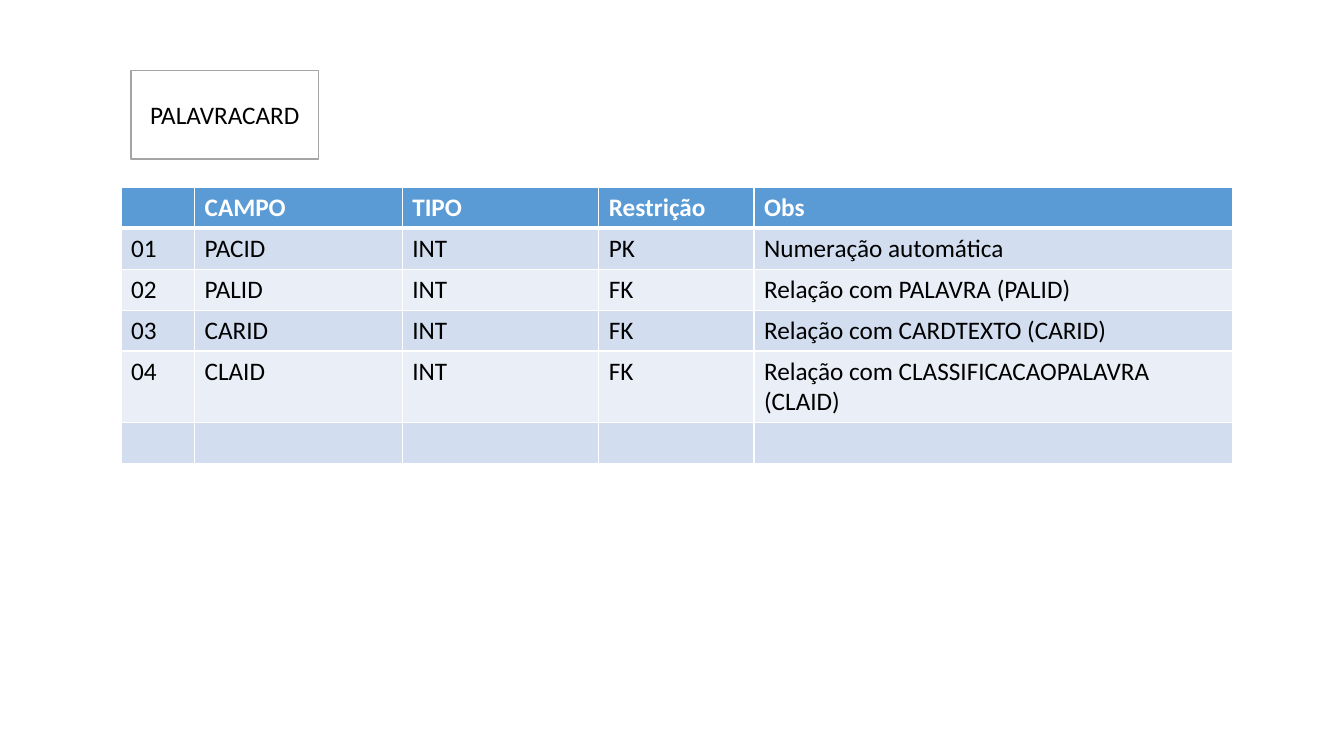
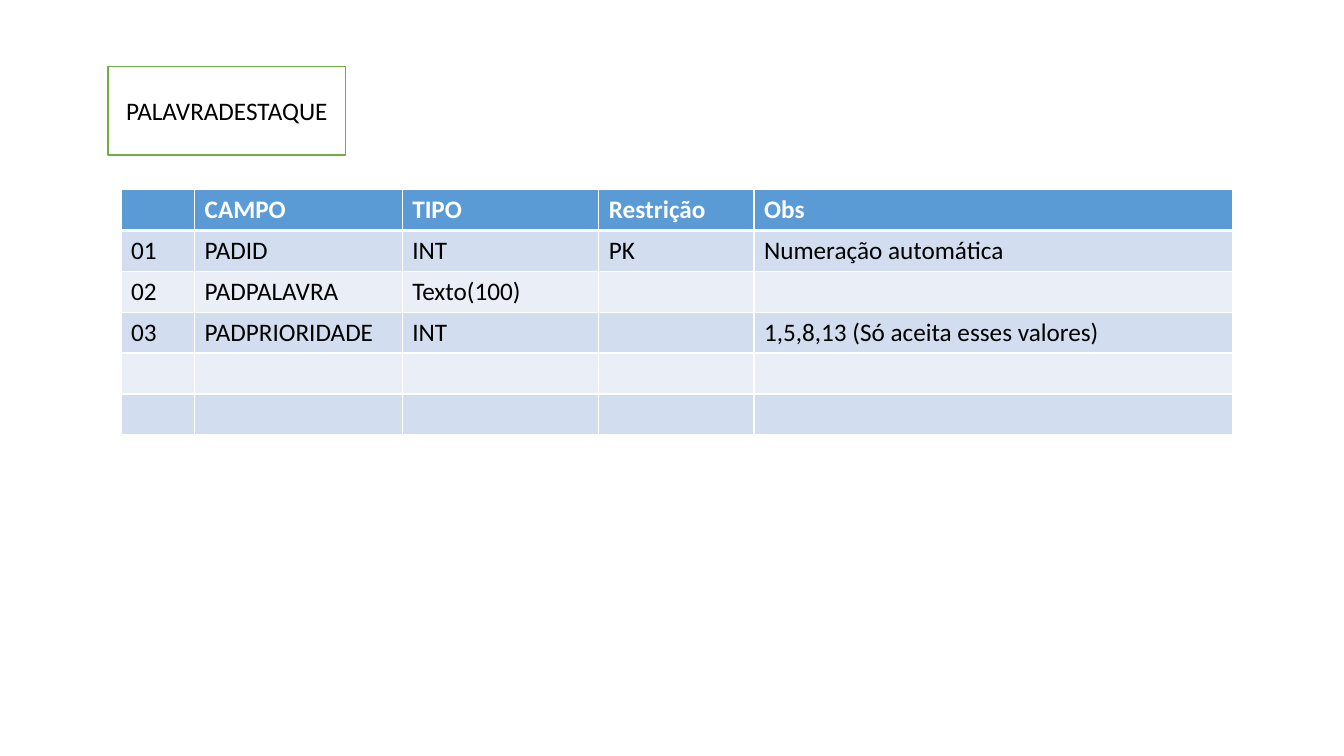
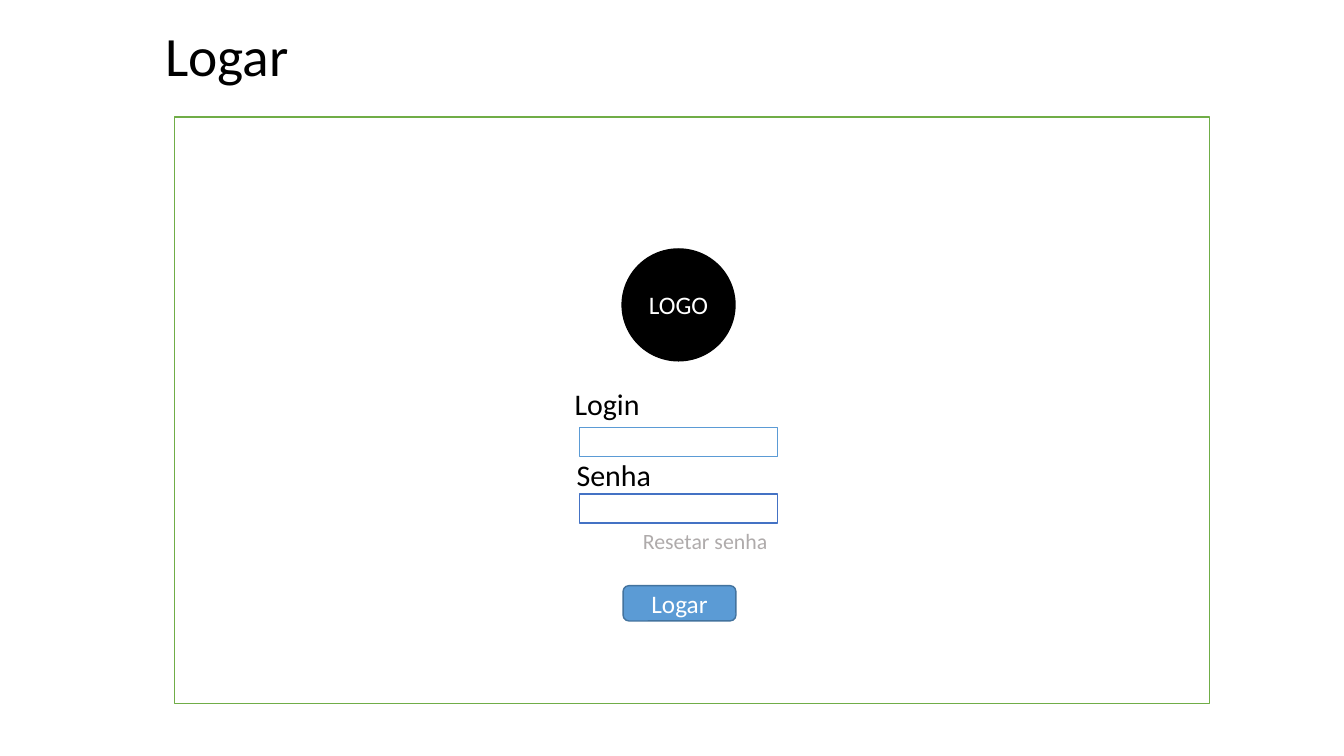
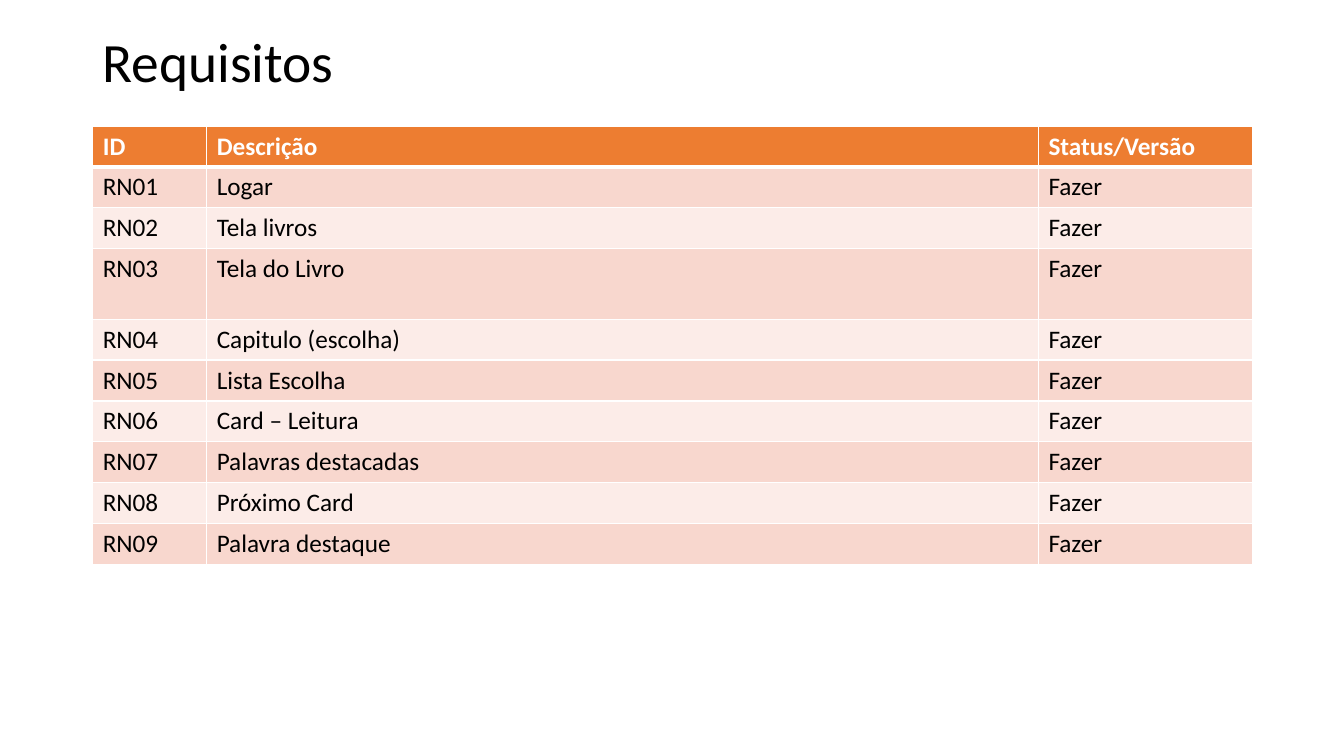
"""Build four slides: two data tables, a login screen and a list of requirements."""
from dataclasses import dataclass
from typing import NamedTuple

from lxml.etree import SubElement as Sub
from pptx import Presentation as Deck
from pptx.dml.color import RGBColor as Rgb
from pptx.enum.shapes import MSO_SHAPE as Kind
from pptx.enum.text import MSO_ANCHOR as Anchor, PP_ALIGN as Align
from pptx.oxml.ns import qn
from pptx.slide import Slide
from pptx.table import _Cell as Cell
from pptx.text.text import TextFrame as Frame
from pptx.util import Inches, Length, Pt


class Tint(NamedTuple):
    head: str
    odd: str
    even: str


@dataclass(frozen=True)
class Theme:
    font: str = "Calibri"
    title: float = 39.6
    label: float = 21.4
    body: float = 18
    hint: float = 15.6
    white: str = "FFFFFF"
    black: str = "000000"
    gray: str = "A5A5A5"
    mute: str = "AFABAB"
    green: str = "70AD47"
    sky: str = "5B9BD5"
    blue: str = "4472C4"
    navy: str = "43739E"
    cool: Tint = Tint("5B9BD5", "D2DEEF", "EAEFF7")
    warm: Tint = Tint("ED7D31", "F8D7CE", "FCECE8")


class Area(NamedTuple):
    """Left, top, width and height as percent of the slide."""
    left: float
    top: float
    wide: float
    high: float


@dataclass(frozen=True)
class Box:
    area: Area
    line: str
    fill: str = "FFFFFF"
    text: str = ""
    ink: str = "000000"
    kind: Kind = Kind.RECTANGLE


@dataclass(frozen=True)
class Label:
    area: Area
    text: str
    size: float
    ink: str = "000000"
    align: Align = Align.LEFT


@dataclass(frozen=True)
class Grid:
    left: float
    top: float
    cols: tuple[float, ...]
    rows: list[tuple[str, ...]]
    tint: Tint
    tall: int = -1


THEME = Theme()
WIDE, HIGH = Inches(13.33), Inches(7.5)
ROW, TALL = 5.41, 9.33
BAR = 6.53
FIELDS = (5.48, 15.45, 14.63, 11.55, 35.63)
NAMES = ("", "CAMPO", "TIPO", "Restrição", "Obs")
BLANK = ("",) * len(FIELDS)
NEEDS = ("Logar", "Tela livros", "Tela do Livro", "Capitulo (escolha)", "Lista Escolha",
         "Card – Leitura", "Palavras destacadas", "Próximo Card", "Palavra destaque")


def across(share: float) -> Length:
    """Turn percent of the width into a length."""
    return Length(round(WIDE * share / 100))


def down(share: float) -> Length:
    """Turn percent of the height into a length."""
    return Length(round(HIGH * share / 100))


def place(area: Area) -> tuple[Length, Length, Length, Length]:
    """Turn an area into lengths."""
    return across(area.left), down(area.top), across(area.wide), down(area.high)


def write(frame: Frame, text: str, *, size: float = THEME.body, ink: str = THEME.black,
          bold: bool = False, align: Align = Align.LEFT, space: float = 1) -> None:
    """Put one formatted paragraph in a frame."""
    para = frame.paragraphs[0]
    para.alignment, para.line_spacing = align, space
    para.font.size = Pt(size)
    if text:
        run = para.add_run()
        run.text = text
        font = run.font
        font.name, font.size, font.bold = THEME.font, Pt(size), bold
        font.color.rgb = Rgb.from_string(ink)


def draw_box(slide: Slide, box: Box) -> None:
    """Draw an outlined shape with centred text."""
    shape = slide.shapes.add_shape(box.kind, *place(box.area))
    shape.shadow.inherit = False
    shape.fill.solid()
    shape.fill.fore_color.rgb = Rgb.from_string(box.fill)
    shape.line.color.rgb = Rgb.from_string(box.line)
    shape.line.width = Pt(1)
    shape.text_frame.vertical_anchor = Anchor.MIDDLE
    write(shape.text_frame, box.text, ink=box.ink, align=Align.CENTER)


def draw_label(slide: Slide, label: Label) -> None:
    """Draw free text centred on its height."""
    frame = slide.shapes.add_textbox(*place(label.area)).text_frame
    frame.word_wrap, frame.vertical_anchor = True, Anchor.MIDDLE
    write(frame, label.text, size=label.size, ink=label.ink, align=label.align, space=0.9)


def draw_title(slide: Slide, text: str, left: float, top: float) -> None:
    """Draw a slide title."""
    draw_label(slide, Label(Area(left, top, 86.27, BAR), text, THEME.title))


def edge(cell: Cell, top: float, base: float) -> None:
    """Give a cell white borders."""
    props = cell._tc.get_or_add_tcPr()
    for side, width in (("L", 1), ("R", 1), ("T", top), ("B", base)):
        line = Sub(props, qn(f"a:ln{side}"), w=str(Pt(width)))
        Sub(Sub(line, qn("a:solidFill")), qn("a:srgbClr"), val=THEME.white)


def draw_grid(slide: Slide, grid: Grid) -> None:
    """Draw a banded table below a header row."""
    highs = [TALL if row == grid.tall else ROW for row in range(len(grid.rows))]
    area = Area(grid.left, grid.top, sum(grid.cols), sum(highs))
    table = slide.shapes.add_table(len(highs), len(grid.cols), *place(area)).table
    for col, wide in zip(table.columns, grid.cols):
        col.width = across(wide)
    for row, (texts, high) in enumerate(zip(grid.rows, highs)):
        table.rows[row].height = down(high)
        head = row == 0
        fill = grid.tint.head if head else grid.tint.odd if row % 2 else grid.tint.even
        for cell, text in zip(table.rows[row].cells, texts):
            edge(cell, 3 if row == 1 else 1, 3 if head else 1)
            cell.fill.solid()
            cell.fill.fore_color.rgb = Rgb.from_string(fill)
            write(cell.text_frame, text, ink=THEME.white if head else THEME.black, bold=head)


def draw_data(slide: Slide, top: float, rows: list[tuple[str, ...]], box: Box,
              tall: int = -1) -> None:
    """Draw the fields of a data table and its name box."""
    draw_grid(slide, Grid(9, top, FIELDS, [NAMES, *rows], THEME.cool, tall))
    draw_box(slide, box)


def draw_card(slide: Slide) -> None:
    """Draw the word and card table."""
    rows = [("01", "PACID", "INT", "PK", "Numeração automática"),
            ("02", "PALID", "INT", "FK", "Relação com PALAVRA (PALID)"),
            ("03", "CARID", "INT", "FK", "Relação com CARDTEXTO (CARID)"),
            ("04", "CLAID", "INT", "FK", "Relação com CLASSIFICACAOPALAVRA (CLAID)"),
            BLANK]
    box = Box(Area(9.75, 9.33, 13.95, 11.73), THEME.gray, text="PALAVRACARD")
    draw_data(slide, 24.8, rows, box, tall=4)


def draw_word(slide: Slide) -> None:
    """Draw the highlighted word table."""
    rows = [("01", "PADID", "INT", "PK", "Numeração automática"),
            ("02", "PADPALAVRA", "Texto(100)", "", ""),
            ("03", "PADPRIORIDADE", "INT", "", "1,5,8,13 (Só aceita esses valores)"),
            BLANK, BLANK]
    box = Box(Area(8.03, 8.8, 17.7, 11.73), THEME.green, text="PALAVRADESTAQUE")
    draw_data(slide, 25.07, rows, box)


def draw_login(slide: Slide) -> None:
    """Draw the login screen."""
    left, wide, high = 43.14, 14.7, 3.87
    draw_title(slide, "Logar", 11.55, 4.53)
    for box in (
        Box(Area(12.98, 15.47, 77.04, 77.6), THEME.green),
        Box(Area(46.29, 32.93, 8.4, 14.8), THEME.black, THEME.black, "LOGO", THEME.white,
            Kind.OVAL),
        Box(Area(left, 56.53, wide, high), THEME.sky),
        Box(Area(left, 65.33, wide, high), THEME.blue),
        Box(Area(46.36, 77.47, 8.4, 4.67), THEME.navy, THEME.sky, "Logar", THEME.white,
            Kind.ROUNDED_RECTANGLE),
    ):
        draw_box(slide, box)
    for label in (
        Label(Area(42.01, 50.4, 8.63, BAR), "Login", THEME.label),
        Label(Area(42.16, 59.87, 8.63, BAR), "Senha", THEME.label),
        Label(Area(left, 68.53, wide, BAR), "Resetar senha", THEME.hint, THEME.mute,
              Align.RIGHT),
    ):
        draw_label(slide, label)


def draw_needs(slide: Slide) -> None:
    """Draw the list of requirements."""
    left = 6.9
    rows = [(f"RN{num:02}", need, "Fazer") for num, need in enumerate(NEEDS, 1)]
    draw_title(slide, "Requisitos", left, 5.33)
    draw_grid(slide, Grid(left, 16.67, (8.48, 61.89, 15.9),
                          [("ID", "Descrição", "Status/Versão"), *rows], THEME.warm, tall=3))


def main() -> None:
    """Build and save the deck."""
    deck = Deck()
    deck.slide_width, deck.slide_height = WIDE, HIGH
    for draw in (draw_card, draw_word, draw_login, draw_needs):
        draw(deck.slides.add_slide(deck.slide_layouts[6]))
    deck.save("out.pptx")


if __name__ == "__main__":
    main()
